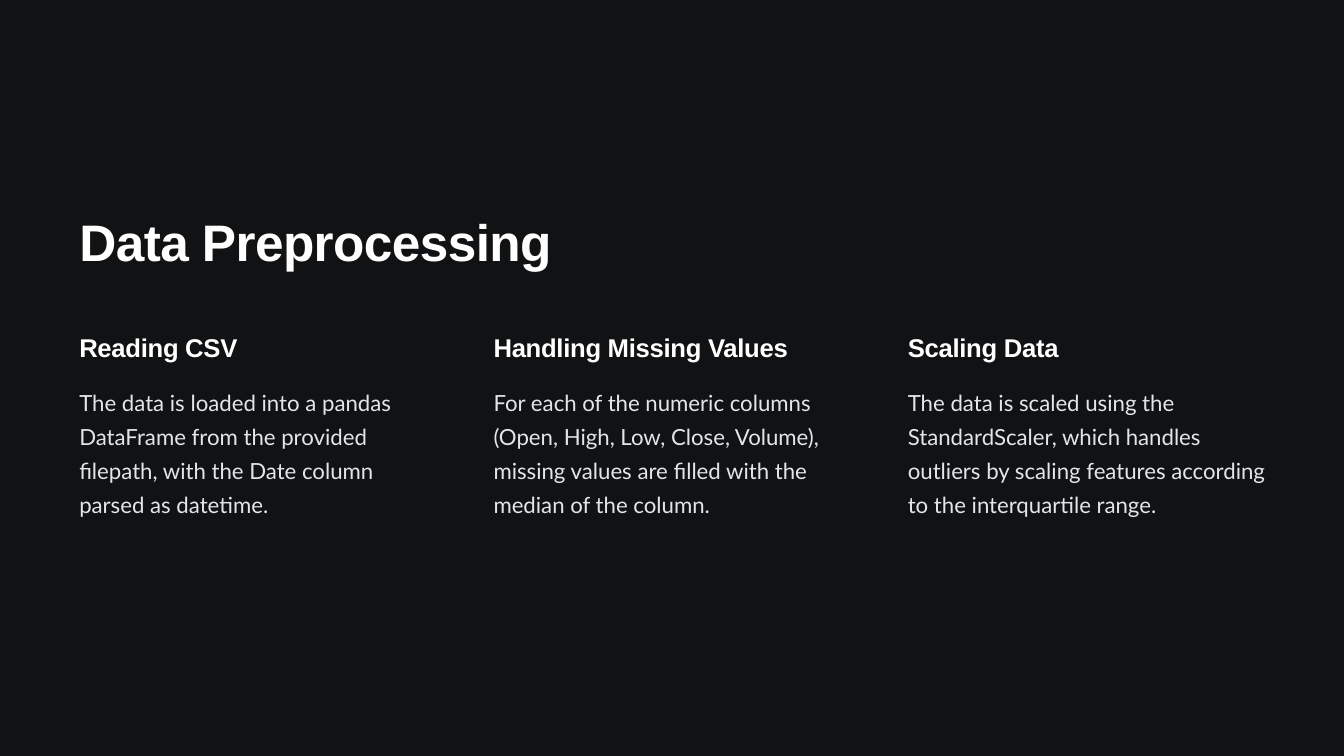
import dataclasses

import pptx
import pptx.dml.color
import pptx.enum.shapes
import pptx.enum.text
import pptx.util

Inches = pptx.util.Inches
Pt = pptx.util.Pt


@dataclasses.dataclass(frozen=True)
class TextStyle:
    font: str
    size: float
    leading: float
    color: str
    bold: bool = False
    tracking: float = 0


@dataclasses.dataclass(frozen=True)
class Theme:
    backdrops: tuple = ("181A1B", "111213")
    title: TextStyle = TextStyle("Arial", 55, 68.8, "FFFFFF", True, -0.6)
    heading: TextStyle = TextStyle("Arial", 27.5, 34.4, "FFFFFF", True, -0.3)
    body: TextStyle = TextStyle("Lato", 23.8, 36.2, "E2E6E9")


THEME = Theme()

# Heading, heading width in inches, description
STEPS = [
    ("Reading CSV", 3.83,
     "The data is loaded into a pandas DataFrame from the provided filepath, "
     "with the Date column parsed as datetime."),
    ("Handling Missing Values", 4.84,
     "For each of the numeric columns (Open, High, Low, Close, Volume), "
     "missing values are filled with the median of the column."),
    ("Scaling Data", 3.83,
     "The data is scaled using the StandardScaler, which handles outliers by "
     "scaling features according to the interquartile range."),
]


def write_text(box, text, style):
    """Fill a box with one left-aligned paragraph in the given style."""
    frame = box.text_frame
    frame.word_wrap = True
    frame.auto_size = pptx.enum.text.MSO_AUTO_SIZE.NONE
    frame.vertical_anchor = pptx.enum.text.MSO_ANCHOR.TOP
    frame.margin_left = frame.margin_right = 0
    frame.margin_top = frame.margin_bottom = 0

    para = frame.paragraphs[0]
    para.alignment = pptx.enum.text.PP_ALIGN.LEFT
    para.line_spacing = Pt(style.leading)
    para.space_before = Pt(0)

    span = para.add_run()
    span.text = text
    span.font.name = style.font
    span.font.size = Pt(style.size)
    span.font.bold = style.bold
    span.font.color.rgb = pptx.dml.color.RGBColor.from_string(style.color)
    if style.tracking:
        # Letter spacing is stored in hundredths of a point
        span.font._element.set("spc", str(round(style.tracking * 100)))


def add_backdrops(page, left, top, width, height):
    """Layer the dark panels behind the title."""
    for color in THEME.backdrops:
        panel = page.shapes.add_shape(
            pptx.enum.shapes.MSO_SHAPE.RECTANGLE, left, top, width, height)
        panel.shadow.inherit = False
        panel.fill.solid()
        panel.fill.fore_color.rgb = pptx.dml.color.RGBColor.from_string(color)
        panel.line.fill.background()
        page.shapes.title._element.addprevious(panel._element)


def place_title(page, left, top, width, height):
    title = page.shapes.title
    title.left, title.top = left, top
    title.width, title.height = width, height
    write_text(title, "Data Preprocessing", THEME.title)


def add_step(page, left, top, width, height, heading, heading_width, body):
    """Add a heading with its description below."""
    body_offset = Inches(0.77)
    heading_box = page.shapes.add_textbox(
        left, top, heading_width, Inches(0.52))
    write_text(heading_box, heading, THEME.heading)
    body_box = page.shapes.add_textbox(
        left, top + body_offset, width, height - body_offset)
    write_text(body_box, body, THEME.body)


def add_steps(page, left, top, width, height):
    """Spread the steps over equal columns."""
    column_width = Inches(5.33)
    pitch = (width - column_width) // (len(STEPS) - 1)
    for index, (heading, heading_width, body) in enumerate(STEPS):
        add_step(page, left + index * pitch, top, column_width, height,
                 heading, Inches(heading_width), body)


def main():
    deck = pptx.Presentation()
    deck.slide_width = Inches(20)
    deck.slide_height = Inches(11.25)
    page = deck.slides.add_slide(deck.slide_layouts[5])

    margin = Inches(1.18)
    add_backdrops(page, 0, 0, deck.slide_width, deck.slide_height)
    place_title(page, margin, Inches(3.09), Inches(7.74), Inches(1.02))
    add_steps(page, margin, Inches(4.92), Inches(17.66), Inches(2.88))

    deck.save("out.pptx")


if __name__ == "__main__":
    main()
